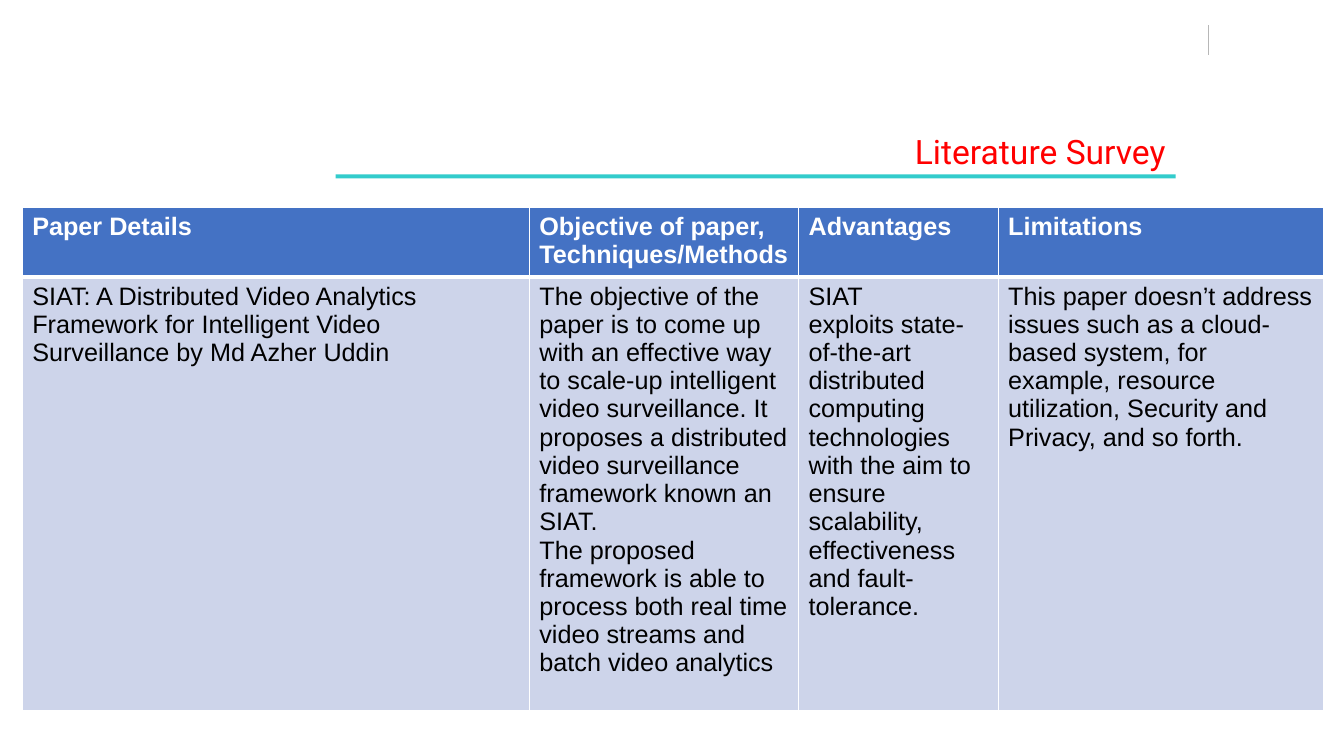
from lxml import etree
from pptx import Presentation
from pptx.dml.color import RGBColor
from pptx.enum.shapes import MSO_CONNECTOR, MSO_SHAPE
from pptx.enum.text import MSO_ANCHOR, MSO_AUTO_SIZE, PP_ALIGN
from pptx.oxml.ns import qn
from pptx.util import Inches, Pt

RECT = MSO_SHAPE.RECTANGLE
LINE = MSO_CONNECTOR.STRAIGHT
TOP = MSO_ANCHOR.TOP
RIGHT = PP_ALIGN.RIGHT
NO_FIT = MSO_AUTO_SIZE.NONE

WIDTH, HEIGHT = 13.33, 7.5
COLS = [5.03, 2.67, 1.98, 3.23]
ROWS = [0.69, 4.3]
HEADS = ["Paper Details", "Objective of paper, Techniques/Methods",
         "Advantages", "Limitations"]
BODY = [
    ["SIAT: A Distributed Video Analytics Framework for Intelligent Video "
     "Surveillance by Md Azher Uddin"],
    ["The objective of the paper is to come up with an effective way to "
     "scale-up intelligent video surveillance. It proposes a distributed "
     "video surveillance framework known an SIAT.",
     "The proposed framework is able to process both real time video "
     "streams and batch video analytics"],
    ["SIAT",
     "exploits state-of-the-art distributed computing technologies with "
     "the aim to ensure scalability,",
     "effectiveness and fault-tolerance."],
    ["This paper doesn’t address issues such as a cloud-based system, for "
     "example, resource utilization, Security and Privacy, and so forth."],
]


def color(code):
    return RGBColor.from_string(code)


def add_run(para, text, size, font, code, bold=False):
    run = para.add_run()
    run.text = text
    run.font.size = Pt(size)
    run.font.name = font
    run.font.bold = bold
    run.font.color.rgb = color(code)


def add_tick(slide, x, y, length):
    tick = slide.shapes.add_connector(
        LINE, Inches(x), Inches(y), Inches(x), Inches(y + length))
    tick.line.color.rgb = color("B7B7B7")
    tick.line.width = Pt(0.75)
    etree.SubElement(tick._element.spPr, qn("a:effectLst"))


def add_title(slide, left, top, width, height):
    """Place the title, with a bar under it that shares its right edge."""
    title = slide.shapes.title
    title.left, title.top = Inches(left), Inches(top)
    title.width, title.height = Inches(width), Inches(height)
    frame = title.text_frame
    frame.auto_size = NO_FIT
    frame.vertical_anchor = TOP
    para = frame.paragraphs[0]
    para.alignment = RIGHT
    add_run(para, "Literature Survey", 24, "Roboto", "FF0000")

    span = WIDTH * 0.625
    bar = slide.shapes.add_shape(
        RECT, Inches(left + width - span), Inches(top + height - 0.02),
        Inches(span), Inches(0.04))
    bar.shadow.inherit = False
    bar.fill.solid()
    bar.fill.fore_color.rgb = color("33CCCC")
    bar.line.fill.background()


def add_edges(cell, widths):
    """Draw white cell borders, given point widths by side."""
    props = cell._tc.get_or_add_tcPr()
    for side, width in widths.items():
        edge = etree.SubElement(props, qn("a:ln" + side), w=str(Pt(width)))
        fill = etree.SubElement(edge, qn("a:solidFill"))
        etree.SubElement(fill, qn("a:srgbClr"), val="FFFFFF")


def fill_cell(cell, texts, head):
    add_edges(cell, {"L": 1, "R": 1, "T": 1 if head else 3,
                     "B": 3 if head else 1})
    cell.fill.solid()
    cell.fill.fore_color.rgb = color("4472C4" if head else "CDD4EA")
    frame = cell.text_frame
    for i, text in enumerate(texts):
        para = frame.add_paragraph() if i else frame.paragraphs[0]
        add_run(para, text, 18, "Arial", "FFFFFF" if head else "000000", head)


def add_survey(slide, left, top):
    table = slide.shapes.add_table(
        len(ROWS), len(COLS), Inches(left), Inches(top),
        Inches(sum(COLS)), Inches(sum(ROWS))).table
    table.horz_banding = False
    for row, height in zip(table.rows, ROWS):
        row.height = Inches(height)
    for i, width in enumerate(COLS):
        table.columns[i].width = Inches(width)
        fill_cell(table.cell(0, i), [HEADS[i]], True)
        fill_cell(table.cell(1, i), BODY[i], False)


def main():
    deck = Presentation()
    deck.slide_width, deck.slide_height = Inches(WIDTH), Inches(HEIGHT)
    slide = deck.slides.add_slide(deck.slide_layouts[5])
    add_tick(slide, 11.99, 0.25, 0.3)
    add_title(slide, 4.58, 1.25, 7.08, 0.5)
    add_survey(slide, 0.22, 2.06)
    deck.save("out.pptx")


if __name__ == "__main__":
    main()
